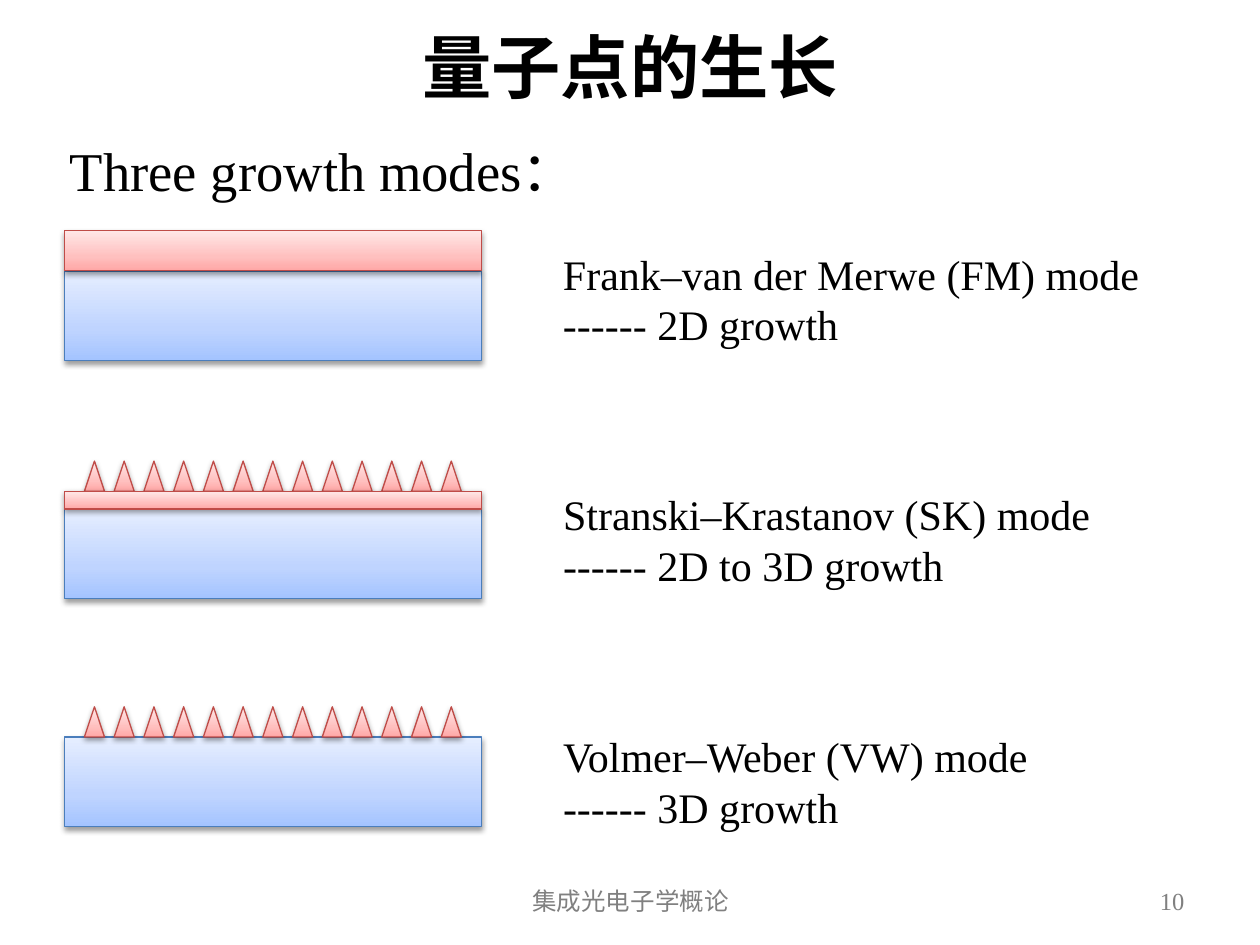
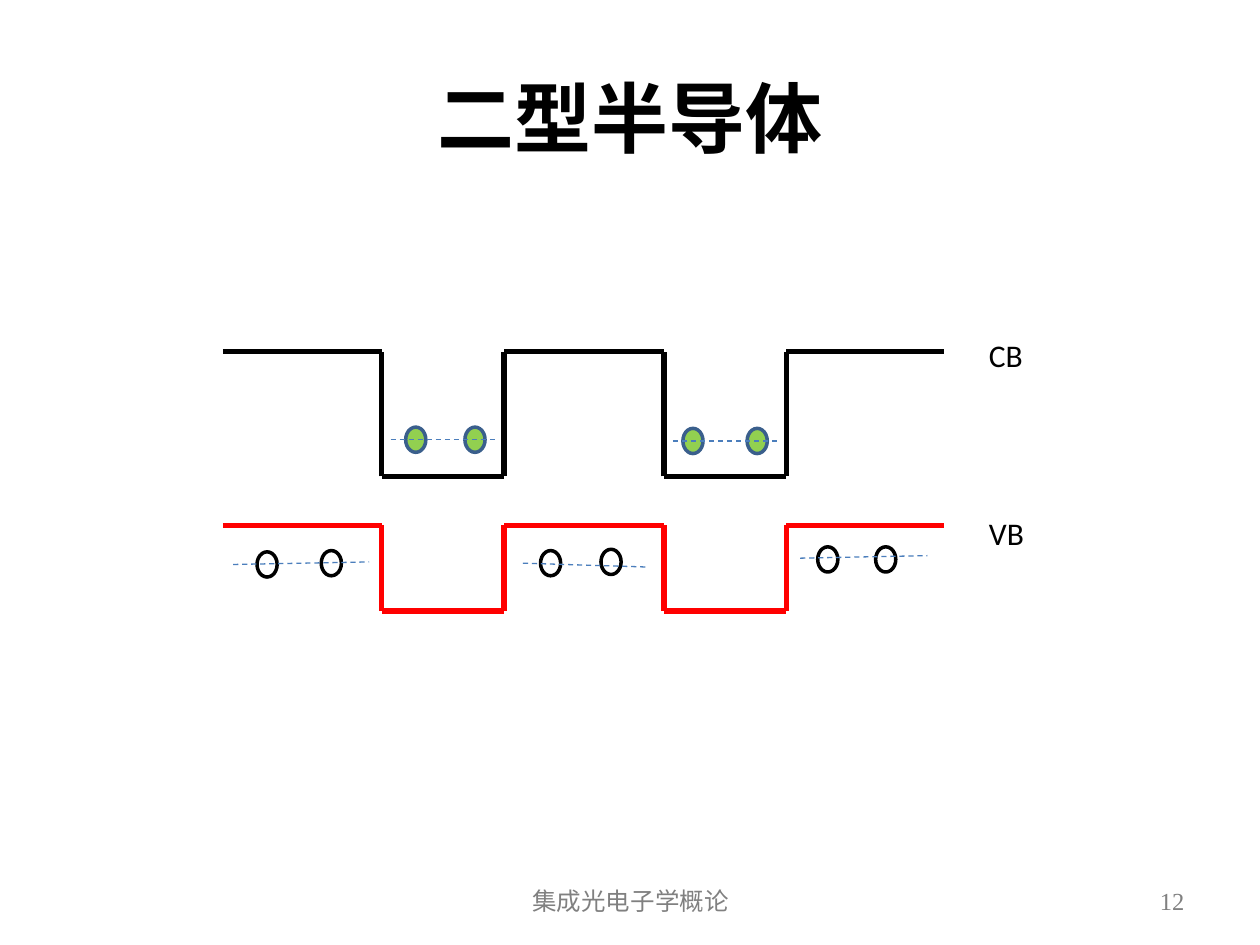
"""Build two slides on quantum dot growth modes and type-II semiconductors."""
from copy import deepcopy

from lxml import etree
from pptx import Presentation
from pptx.dml.color import RGBColor
from pptx.enum.dml import MSO_LINE
from pptx.enum.shapes import MSO_CONNECTOR, MSO_SHAPE
from pptx.enum.text import MSO_ANCHOR, MSO_AUTO_SIZE, PP_ALIGN
from pptx.oxml.ns import qn
from pptx.util import Inches, Pt

RECTANGLE = MSO_SHAPE.RECTANGLE
TRIANGLE = MSO_SHAPE.ISOSCELES_TRIANGLE
ELLIPSE = MSO_SHAPE.OVAL
STRAIGHT = MSO_CONNECTOR.STRAIGHT
DASH = MSO_LINE.DASH
MIDDLE, TOP = MSO_ANCHOR.MIDDLE, MSO_ANCHOR.TOP
LEFT, CENTER, RIGHT = PP_ALIGN.LEFT, PP_ALIGN.CENTER, PP_ALIGN.RIGHT

BLACK = RGBColor(0x00, 0x00, 0x00)
WHITE = RGBColor(0xFF, 0xFF, 0xFF)
GREY = RGBColor(0x80, 0x80, 0x80)
RED = RGBColor(0xFF, 0x00, 0x00)
GREEN = RGBColor(0x92, 0xD0, 0x50)
NAVY = RGBColor(0x3A, 0x5F, 0x8C)
BLUE = RGBColor(0x4B, 0x7E, 0xBC)
BRICK = RGBColor(0xBF, 0x4C, 0x48)

GRADIENT_POSITIONS = (0, 0.35, 1)
SUBSTRATE = (BLUE, ("A4C4FF", "BFD4FF", "E6EEFF"))
DEPOSIT = (BRICK, ("FFA6A5", "FFC0BF", "FFE7E7"))

SERIF, SANS = "Times New Roman", "Calibri"
COURSE = "集成光电子学概论"

LAYER_LEFT, LAYER_WIDTH, SUBSTRATE_HEIGHT = 0.51, 3.31, 0.71
DOT_COUNT, DOT_LEFT, DOT_PITCH = 13, 0.67, 0.236
DOT_WIDTH, DOT_HEIGHT = 0.16, 0.24

BAND_EDGES = (1.77, 3.03, 4, 5.27, 6.24, 7.49)
CARRIER_WIDTH, CARRIER_HEIGHT = 0.16, 0.2


def format_paragraphs(frame, size, font, color=BLACK, align=LEFT, bold=False):
    """Give every paragraph of a text frame the same look."""
    for paragraph in frame.paragraphs:
        paragraph.alignment = align
        paragraph.font.size = Pt(size)
        paragraph.font.name = font
        paragraph.font.bold = bold
        paragraph.font.color.rgb = color


def add_text(shapes, text, box, size, font, color=BLACK, align=LEFT, anchor=TOP, fit=False):
    """Add a text box; with fit it hugs its unwrapped text."""
    frame = shapes.add_textbox(*map(Inches, box)).text_frame
    frame.text = text
    frame.word_wrap = not fit
    frame.auto_size = MSO_AUTO_SIZE.SHAPE_TO_FIT_TEXT if fit else MSO_AUTO_SIZE.NONE
    frame.vertical_anchor = anchor
    format_paragraphs(frame, size, font, color, align)


def add_slide(presentation, title_text, number, top, height, size):
    """Add a title-only slide with its title, footer and slide number."""
    slide = presentation.slides.add_slide(presentation.slide_layouts[5])
    title = slide.shapes.title
    title.left, title.top = Inches(0.5), Inches(top)
    title.width, title.height = Inches(9), Inches(height)
    frame = title.text_frame
    frame.text = title_text
    frame.auto_size = MSO_AUTO_SIZE.NONE
    frame.vertical_anchor = MIDDLE
    format_paragraphs(frame, size, SERIF, align=CENTER, bold=True)
    add_text(slide.shapes, COURSE, (3.42, 6.95, 3.17, 0.4), 14, SANS, GREY, CENTER, MIDDLE)
    add_text(slide.shapes, number, (7.17, 6.95, 2.33, 0.4), 14, SERIF, GREY, RIGHT, MIDDLE)
    return slide


def fill_gradient(shape, colors):
    """Fill a shape with a three-stop gradient running from bottom to top."""
    shape.fill.gradient()
    shape.fill.gradient_angle = 90
    stop_list = shape._element.spPr.find(qn("a:gradFill")).find(qn("a:gsLst"))
    stop_list.insert(1, deepcopy(stop_list[0]))
    for stop, position, color in zip(shape.fill.gradient_stops, GRADIENT_POSITIONS, colors):
        stop.position = position
        stop.color.rgb = RGBColor.from_string(color)


def add_soft_shadow(shape):
    """Cast a faint black shadow just below a shape."""
    shape.shadow.inherit = False
    effects = shape._element.spPr.find(qn("a:effectLst"))
    shadow = etree.SubElement(effects, qn("a:outerShdw"), blurRad="40000", dist="20000",
                              dir="5400000", rotWithShape="0")
    color = etree.SubElement(shadow, qn("a:srgbClr"), val="000000")
    etree.SubElement(color, qn("a:alpha"), val="38000")


def add_crystal(shapes, kind, box, material):
    """Add one piece of crystal in the colours of its material."""
    outline, colors = material
    shape = shapes.add_shape(kind, *map(Inches, box))
    fill_gradient(shape, colors)
    shape.line.color.rgb = outline
    shape.line.width = Pt(0.75)
    add_soft_shadow(shape)


def add_growth_mode(slide, substrate_top, film_height, has_dots, label, label_box):
    """Draw a substrate with its film and dots, and name the mode beside it."""
    shapes = slide.shapes.add_group_shape().shapes
    add_crystal(shapes, RECTANGLE,
                (LAYER_LEFT, substrate_top, LAYER_WIDTH, SUBSTRATE_HEIGHT), SUBSTRATE)
    film_top = substrate_top - film_height
    if has_dots:
        for index in range(DOT_COUNT):
            add_crystal(shapes, TRIANGLE, (DOT_LEFT + index * DOT_PITCH, film_top - DOT_HEIGHT,
                                           DOT_WIDTH, DOT_HEIGHT), DEPOSIT)
    if film_height:
        add_crystal(shapes, RECTANGLE, (LAYER_LEFT, film_top, LAYER_WIDTH, film_height), DEPOSIT)
    add_text(slide.shapes, label, label_box, 24, SERIF, fit=True)


def add_line(shapes, start, end, color, width, dash=None):
    """Add a straight line without a shadow."""
    line = shapes.add_connector(STRAIGHT, *map(Inches, (*start, *end)))
    line.line.color.rgb = color
    line.line.width = Pt(width)
    if dash:
        line.line.dash_style = dash
    etree.SubElement(line._element.spPr, qn("a:effectLst"))


def add_band(shapes, high, low, color):
    """Draw a band edge that alternates between barriers and wells."""
    for index, (left, right) in enumerate(zip(BAND_EDGES, BAND_EDGES[1:])):
        level = low if index % 2 else high
        add_line(shapes, (left, level), (right, level), color, 3)
    for edge in BAND_EDGES[1:-1]:
        add_line(shapes, (edge, low), (edge, high), color, 3)


def add_energy_level(shapes, start, end, carriers, fill, outline):
    """Draw a pair of carriers and the dashed energy level through them."""
    for left, top in carriers:
        shape = shapes.add_shape(
            ELLIPSE, *map(Inches, (left, top, CARRIER_WIDTH, CARRIER_HEIGHT)))
        shape.shadow.inherit = False
        shape.fill.solid()
        shape.fill.fore_color.rgb = fill
        shape.line.color.rgb = outline
        shape.line.width = Pt(2)
    add_line(shapes, start, end, BLUE, 0.75, DASH)


def build_growth_slide(presentation):
    """Show the three growth modes."""
    slide = add_slide(presentation, "量子点的生长", "10", 0.13, 0.78, 39.6)
    modes = (
        (2.15, 0.32, False, "Frank–van der Merwe (FM) mode\n------ 2D growth",
         (4.37, 1.92, 4.9, 0.91)),
        (4.04, 0.14, True, "Stranski–Krastanov (SK) mode\n------ 2D to 3D growth",
         (4.37, 3.83, 4.51, 0.91)),
        (5.85, 0, True, "Volmer–Weber (VW) mode\n------ 3D growth",
         (4.37, 5.75, 4.01, 0.91)),
    )
    for mode in modes:
        add_growth_mode(slide, *mode)
    add_text(slide.shapes, "Three growth modes：", (0.3, 0.96, 4.53, 0.78), 31.2, SERIF,
             align=CENTER, anchor=MIDDLE)


def build_band_slide(presentation):
    """Show the band diagram of a type-II semiconductor."""
    slide = add_slide(presentation, "二型半导体", "12", 0.3, 1.25, 44)
    shapes = slide.shapes.add_group_shape().shapes
    add_band(shapes, 2.79, 3.78, BLACK)
    add_band(shapes, 4.17, 4.85, RED)
    add_text(shapes, "CB", (7.75, 2.62, 0.47, 0.5), 18, SANS, fit=True)
    add_text(shapes, "VB", (7.75, 4.03, 0.48, 0.5), 18, SANS, fit=True)
    electron_levels = (
        ((3.1, 3.49), (3.93, 3.49), ((3.22, 3.39), (3.69, 3.39))),
        ((5.34, 3.5), (6.17, 3.5), ((5.42, 3.4), (5.93, 3.4))),
    )
    hole_levels = (
        ((1.85, 4.48), (2.93, 4.46), ((2.04, 4.38), (2.55, 4.37))),
        ((4.15, 4.47), (5.13, 4.5), ((4.29, 4.37), (4.77, 4.36))),
        ((6.35, 4.43), (7.36, 4.41), ((6.49, 4.34), (6.95, 4.34))),
    )
    for level in electron_levels:
        add_energy_level(shapes, *level, GREEN, NAVY)
    for level in hole_levels:
        add_energy_level(shapes, *level, WHITE, BLACK)


def main():
    """Build and save the presentation."""
    presentation = Presentation()
    presentation.slide_width, presentation.slide_height = Inches(10), Inches(7.5)
    build_growth_slide(presentation)
    build_band_slide(presentation)
    presentation.save("out.pptx")


if __name__ == "__main__":
    main()
